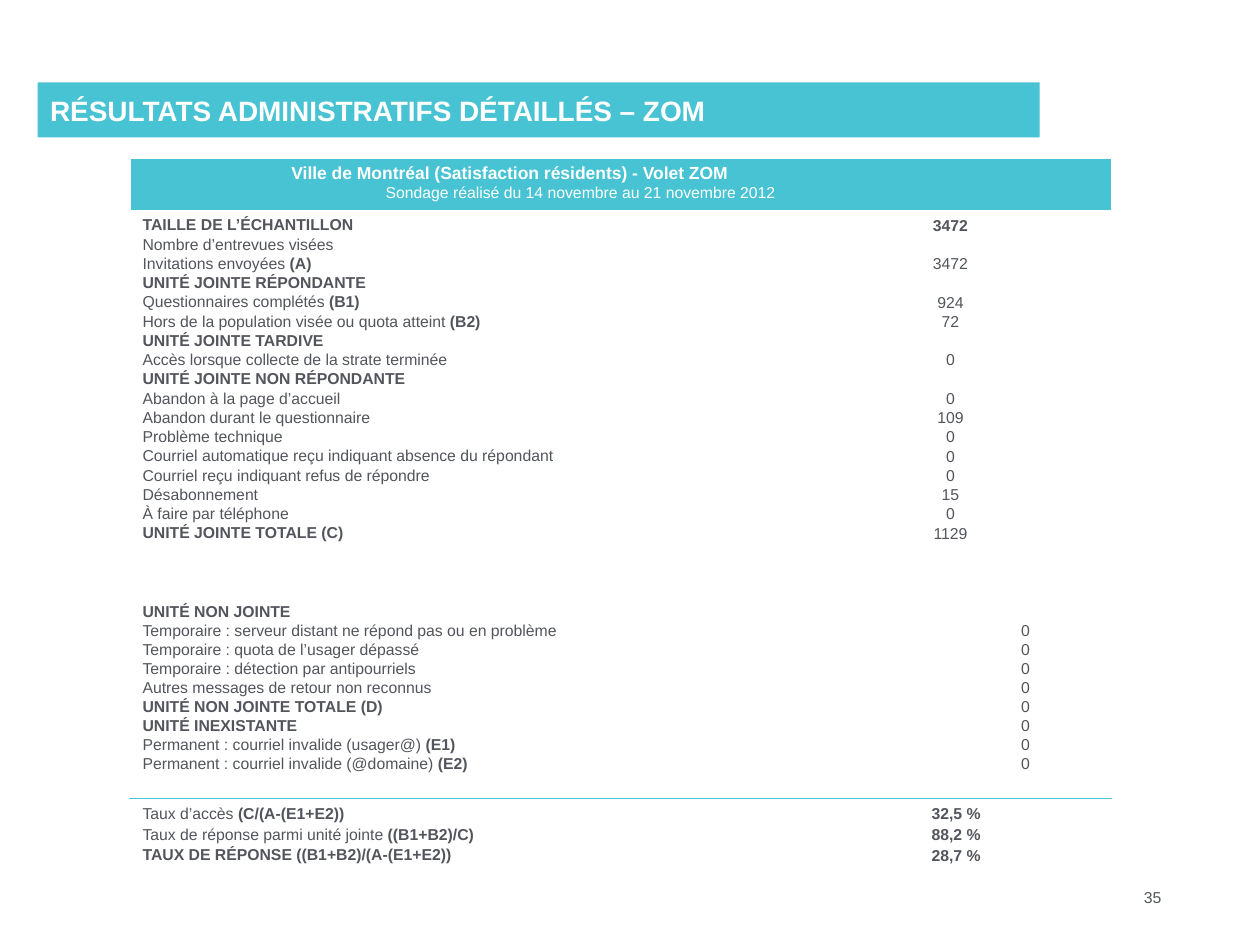
import pptx
import pptx.util
import pptx.dml.color
import pptx.enum.shapes
import pptx.enum.text
import lxml.etree

Cm, Pt = pptx.util.Cm, pptx.util.Pt
RGB = pptx.dml.color.RGBColor.from_string
ALIGN = pptx.enum.text.PP_ALIGN
ANCHOR = pptx.enum.text.MSO_ANCHOR

THEME = dict(font="Arial", teal="47C3D3", grey="53555C", white="FFFFFF",
             title=16, head=10, body=9, rule=0.96)

TITLE = "RÉSULTATS ADMINISTRATIFS DÉTAILLÉS – ZOM"
HEAD = "Ville de Montréal (Satisfaction résidents) - Volet ZOM"
DATES = "Sondage réalisé du 14 novembre au 21 novembre 2012"
PAGE = "35"

# Each row: plain label, bold label, value
REACHED = [
    ("", "TAILLE DE L’ÉCHANTILLON", "3472"),
    ("Nombre d’entrevues visées", "", ""),
    ("Invitations envoyées ", "(A)", "3472"),
    ("", "UNITÉ JOINTE RÉPONDANTE", ""),
    ("Questionnaires complétés ", "(B1)", "924"),
    ("Hors de la population visée ou quota atteint ", "(B2)", "72"),
    ("", "UNITÉ JOINTE TARDIVE", ""),
    ("Accès lorsque collecte de la strate terminée", "", "0"),
    ("", "UNITÉ JOINTE NON RÉPONDANTE", ""),
    ("Abandon à la page d’accueil", "", "0"),
    ("Abandon durant le questionnaire", "", "109"),
    ("Problème technique", "", "0"),
    ("Courriel automatique reçu indiquant absence du répondant", "", "0"),
    ("Courriel reçu indiquant refus de répondre", "", "0"),
    ("Désabonnement", "", "15"),
    ("À faire par téléphone", "", "0"),
    ("", "UNITÉ JOINTE TOTALE (C)", "1129"),
]
MISSED = [
    ("", "UNITÉ NON JOINTE", ""),
    ("Temporaire : serveur distant ne répond pas ou en problème", "", "0"),
    ("Temporaire : quota de l’usager dépassé", "", "0"),
    ("Temporaire : détection par antipourriels", "", "0"),
    ("Autres messages de retour non reconnus", "", "0"),
    ("", "UNITÉ NON JOINTE TOTALE (D)", "0"),
    ("", "UNITÉ INEXISTANTE", "0"),
    ("Permanent : courriel invalide (usager@) ", "(E1)", "0"),
    ("Permanent : courriel invalide (@domaine) ", "(E2)", "0"),
]
RATES = [
    ("Taux d’accès ", "(C/(A-(E1+E2))", "32,5 %"),
    ("Taux de réponse parmi unité jointe ", "((B1+B2)/C)", "88,2 %"),
    ("", "TAUX DE RÉPONSE ((B1+B2)/(A-(E1+E2))", "28,7 %"),
]

# Space before and line pitch in points; value cell margins in cm
BLOCKS = [
    dict(rows=REACHED, space=0.9, pitch=11, line=None, bold=["3472"],
         align=ALIGN.CENTER, left=0.43, right=0.25),
    dict(rows=MISSED, space=1.8, pitch=10.86, line=0.9, bold=[],
         align=ALIGN.RIGHT, left=0.25, right=1.65),
    dict(rows=RATES, space=1.8, pitch=12, line=None,
         bold=[row[2] for row in RATES],
         align=ALIGN.LEFT, left=3.05, right=0.25),
]
COLS = [13.11, 6.68]
HEIGHTS = [1.04, 7.82, 4.04, 1.5]


def write(frame, plain="", bold="", size=THEME["body"], color=THEME["grey"],
          align=ALIGN.LEFT, space=0, line=None, indent=0):
    """Add one paragraph: a plain part followed by a bold part."""
    para = frame.paragraphs[0]
    if para.runs:
        para = frame.add_paragraph()
        para.space_before = Pt(space)
    para.alignment = align
    if line:
        para.line_spacing = line
    if indent:
        para._p.get_or_add_pPr().set("marL", str(Cm(indent)))
    for text, heavy in ((plain, False), (bold, True)):
        if text:
            run = para.add_run()
            run.text = text
            run.font.name = THEME["font"]
            run.font.size = Pt(size)
            run.font.bold = heavy
            run.font.color.rgb = RGB(color)


def rule(cell, side):
    """Draw a teal border on one side (lnT or lnB) of a cell."""
    space = "http://schemas.openxmlformats.org/drawingml/2006/main"
    edge = lxml.etree.Element(f"{{{space}}}{side}", w=str(Pt(THEME["rule"])))
    fill = lxml.etree.SubElement(edge, f"{{{space}}}solidFill")
    lxml.etree.SubElement(fill, f"{{{space}}}srgbClr", val=THEME["teal"])
    cell._tc.get_or_add_tcPr().insert(0, edge)


def fill_row(cells, rows, space, pitch, line, bold, align, left, right):
    """Write labels and values; rows without a value become spacing."""
    label, value = cells
    value.margin_left, value.margin_right = Cm(left), Cm(right)
    skip = 0
    first = True
    for plain, heavy, number in rows:
        write(label.text_frame, plain, heavy, space=space, line=line)
        if not number:
            skip += 1
            continue
        if first:
            value.margin_top = Cm(0.13) + Pt(skip * pitch)
        strong = number in bold and (first or len(bold) > 1)
        write(value.text_frame, "" if strong else number,
              number if strong else "", align=align,
              space=round(space + skip * pitch, 2), line=line)
        first, skip = False, 0


def main():
    deck = pptx.Presentation()
    deck.slide_width, deck.slide_height = Cm(25.4), Cm(19.05)
    slide = deck.slides.add_slide(deck.slide_layouts[6])

    bar = slide.shapes.add_shape(pptx.enum.shapes.MSO_SHAPE.RECTANGLE,
                                 Cm(0.76), Cm(1.66), Cm(20.2), Cm(1.11))
    bar.shadow.inherit = False
    bar.fill.solid()
    bar.fill.fore_color.rgb = RGB(THEME["teal"])
    bar.line.fill.background()
    bar.text_frame.word_wrap = True
    bar.text_frame.vertical_anchor = ANCHOR.MIDDLE
    write(bar.text_frame, bold=TITLE, size=THEME["title"],
          color=THEME["white"])

    grid = slide.shapes.add_table(len(HEIGHTS), len(COLS), Cm(2.62), Cm(3.2),
                                  Cm(sum(COLS)), Cm(sum(HEIGHTS))).table
    grid.first_row = grid.horz_banding = False
    for col, width in zip(grid.columns, COLS):
        col.width = Cm(width)
    for row, height in zip(grid.rows, HEIGHTS):
        row.height = Cm(height)
    for cell in grid.iter_cells():
        cell.fill.background()

    head = grid.cell(0, 0)
    head.merge(grid.cell(0, 1))
    head.fill.solid()
    head.fill.fore_color.rgb = RGB(THEME["teal"])
    write(head.text_frame, bold=HEAD, size=THEME["head"],
          color=THEME["white"], line=0.9, indent=3)
    write(head.text_frame, DATES, color=THEME["white"],
          space=1.8, line=0.9, indent=4.9)

    for at, block in enumerate(BLOCKS, 1):
        fill_row([grid.cell(at, col) for col in range(2)], **block)
    for col in range(2):
        rule(grid.cell(2, col), "lnB")
        rule(grid.cell(3, col), "lnT")

    page = slide.shapes.add_textbox(Cm(22.81), Cm(17.78), Cm(1.96), Cm(0.64))
    page.text_frame.word_wrap = True
    write(page.text_frame, PAGE)

    deck.save("out.pptx")


if __name__ == "__main__":
    main()
